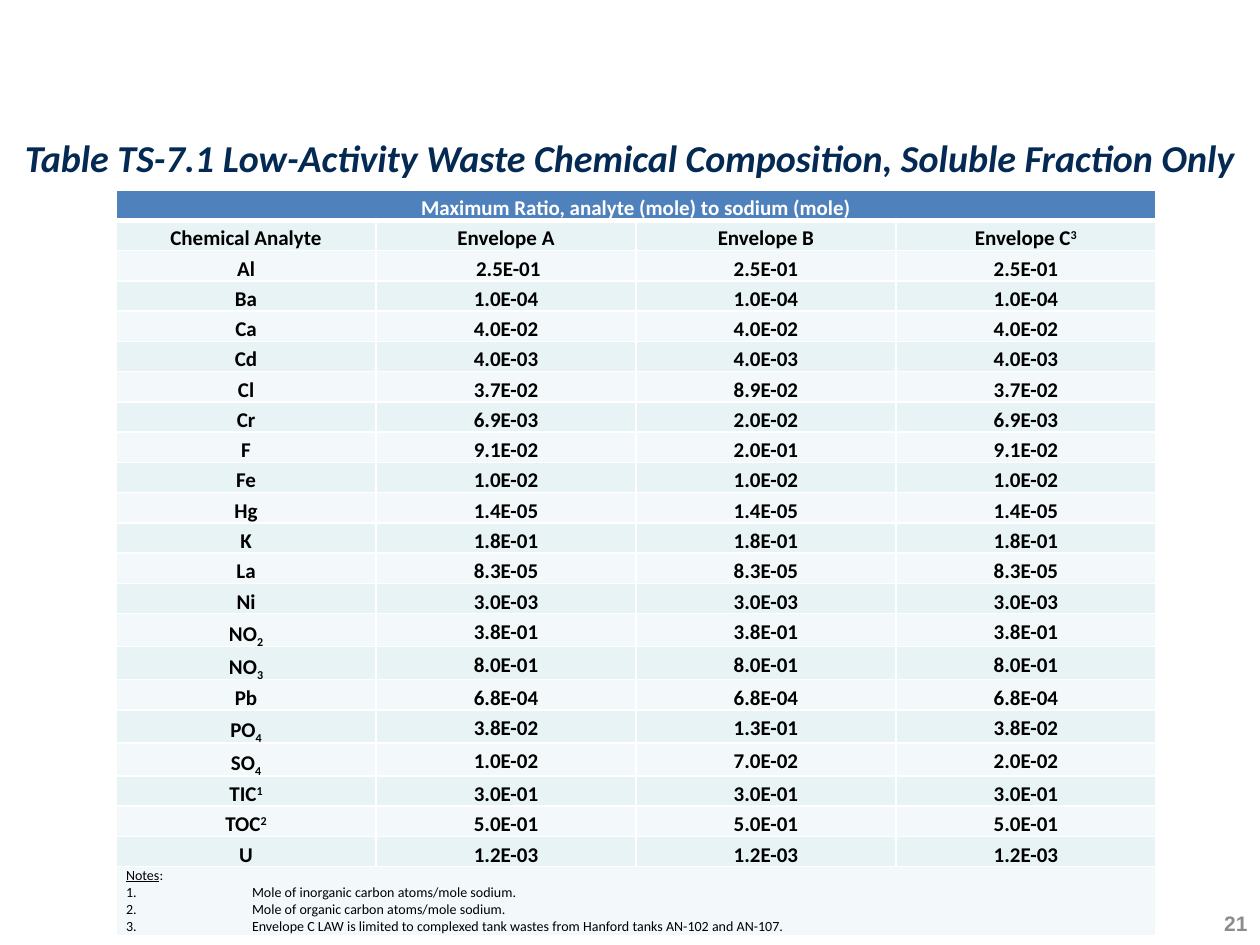
from dataclasses import dataclass
from typing import Optional

from lxml.etree import SubElement
from pptx import Presentation
from pptx.dml.color import RGBColor
from pptx.enum.text import MSO_ANCHOR, MSO_AUTO_SIZE, PP_ALIGN
from pptx.oxml import parse_xml
from pptx.oxml.ns import nsdecls, qn
from pptx.util import Cm, Pt


@dataclass(frozen=True)
class Theme:
    """Colours, fonts and type sizes."""
    navy: str = "042A54"
    blue: str = "4F81BD"
    dark_band: str = "E7F3F4"
    light_band: str = "F3F9FA"
    white: str = "FFFFFF"
    black: str = "000000"
    grey: str = "8C8C8C"
    text_font: str = "Calibri"
    number_font: str = "Arial"
    title_size: float = 21.7
    cell_size: float = 12
    note_size: float = 8


@dataclass(frozen=True)
class Style:
    """Character format of a run."""
    size: float
    color: str
    bold: bool = False
    italic: bool = False
    font: str = "Calibri"


@dataclass(frozen=True)
class Label:
    """Cell text with an optional raised or lowered mark."""
    text: str
    mark: str = ""
    baseline: int = 0


@dataclass(frozen=True)
class Analyte:
    """Limits of one analyte in the three envelopes."""
    name: Label
    envelope_a: str
    envelope_b: str
    envelope_c: str

    def labels(self) -> list[Label]:
        """Return the four cells of the row."""
        limits = self.envelope_a, self.envelope_b, self.envelope_c
        return [self.name, *(Label(limit) for limit in limits)]


THEME = Theme()
TITLE = Style(THEME.title_size, THEME.navy, bold=True, italic=True)
HEADER = Style(THEME.cell_size, THEME.white, bold=True)
BODY = Style(THEME.cell_size, THEME.black, bold=True)
NOTE = Style(THEME.note_size, THEME.black)
PAGE = Style(THEME.cell_size, THEME.grey, bold=True, font=THEME.number_font)

SUPER, SUB = 30, -25
COLUMN_WIDTH, ROW_HEIGHT, SUB_ROW_HEIGHT, NOTES_HEIGHT = Cm(5.24), Cm(0.61), Cm(0.65), Cm(1.4)

HEADINGS = [Label("Chemical Analyte"), Label("Envelope A"), Label("Envelope B"),
            Label("Envelope C", "3", SUPER)]
ANALYTES = [
    Analyte(Label("Al"), " 2.5E-01", "2.5E-01", "2.5E-01"),
    Analyte(Label("Ba"), "1.0E-04", "1.0E-04", "1.0E-04"),
    Analyte(Label("Ca"), "4.0E-02", "4.0E-02", "4.0E-02"),
    Analyte(Label("Cd"), "4.0E-03", "4.0E-03", "4.0E-03"),
    Analyte(Label("Cl"), "3.7E-02", "8.9E-02", "3.7E-02"),
    Analyte(Label("Cr"), "6.9E-03", "2.0E-02", "6.9E-03"),
    Analyte(Label("F"), "9.1E-02", "2.0E-01", "9.1E-02"),
    Analyte(Label("Fe"), "1.0E-02", "1.0E-02", "1.0E-02"),
    Analyte(Label("Hg"), "1.4E-05", "1.4E-05", "1.4E-05"),
    Analyte(Label("K"), "1.8E-01", "1.8E-01", "1.8E-01"),
    Analyte(Label("La"), "8.3E-05", "8.3E-05", "8.3E-05"),
    Analyte(Label("Ni"), "3.0E-03", "3.0E-03", "3.0E-03"),
    Analyte(Label("NO", "2", SUB), "3.8E-01", "3.8E-01", "3.8E-01"),
    Analyte(Label("NO", "3", SUB), "8.0E-01", "8.0E-01", "8.0E-01"),
    Analyte(Label("Pb"), "6.8E-04", "6.8E-04", "6.8E-04"),
    Analyte(Label("PO", "4", SUB), "3.8E-02", "1.3E-01", "3.8E-02"),
    Analyte(Label("SO", "4", SUB), "1.0E-02", "7.0E-02", "2.0E-02"),
    Analyte(Label("TIC", "1", SUPER), "3.0E-01", "3.0E-01", "3.0E-01"),
    Analyte(Label("TOC", "2", SUPER), "5.0E-01", "5.0E-01", "5.0E-01"),
    Analyte(Label("U"), "1.2E-03", "1.2E-03", "1.2E-03"),
]
NOTES = [
    "Mole of inorganic carbon atoms/mole sodium.",
    "Mole of organic carbon atoms/mole sodium.",
    "Envelope C LAW is limited to complexed tank wastes from Hanford tanks AN-102 and AN-107.",
]


def add_run(paragraph, text: str, style: Style, baseline: int = 0, underline: Optional[bool] = None) -> None:
    """Append a formatted run."""
    run = paragraph.add_run()
    run.text = text
    font = run.font
    font.name, font.size = style.font, Pt(style.size)
    font.bold, font.italic, font.underline = style.bold, style.italic, underline
    font.color.rgb = RGBColor.from_string(style.color)
    if baseline:
        run._r.get_or_add_rPr().set("baseline", str(baseline * 1000))


def format_cell(cell, fill: str, top_margin: Cm, top_line: int = 1, bottom_line: int = 1) -> None:
    """Set fill, margins and white borders."""
    cell.fill.solid()
    cell.fill.fore_color.rgb = RGBColor.from_string(fill)
    cell.margin_left = cell.margin_right = Cm(0.2)
    cell.margin_top, cell.margin_bottom = top_margin, Cm(0)
    properties = cell._tc.get_or_add_tcPr()
    widths = {"lnL": 1, "lnR": 1, "lnT": top_line, "lnB": bottom_line}
    for position, (side, width) in enumerate(widths.items()):
        properties.insert(position, parse_xml(
            f'<a:{side} {nsdecls("a")} w="{Pt(width)}"><a:solidFill>'
            f'<a:srgbClr val="{THEME.white}"/></a:solidFill></a:{side}>'))


def write_label(cell, label: Label, style: Style) -> None:
    """Write a centred label with its mark."""
    paragraph = cell.text_frame.paragraphs[0]
    paragraph.alignment = PP_ALIGN.CENTER
    paragraph.line_spacing = 0.89
    paragraph.space_after = Pt(4.2)
    add_run(paragraph, label.text, style)
    if label.mark:
        add_run(paragraph, label.mark, style, label.baseline)


def write_notes(cell) -> None:
    """Write the numbered notes under their heading."""
    heading = cell.text_frame.paragraphs[0]
    add_run(heading, "Notes", NOTE, underline=True)
    add_run(heading, ":", NOTE)
    for number, note in enumerate(NOTES, 1):
        paragraph = cell.text_frame.add_paragraph()
        stops = SubElement(paragraph._p.get_or_add_pPr(), qn("a:tabLst"))
        SubElement(stops, qn("a:tab"), pos=str(Cm(2.54)), algn="l")
        add_run(paragraph, f"{number}.\t{note}", NOTE)


def add_ratio_table(slide) -> None:
    """Add the table of maximum ratios."""
    rows = [HEADINGS, *(analyte.labels() for analyte in ANALYTES)]
    last = len(rows) + 1
    table = slide.shapes.add_table(last + 1, len(HEADINGS), Cm(2.34), Cm(3.83),
                                   COLUMN_WIDTH * len(HEADINGS), ROW_HEIGHT * (last + 1)).table
    for column in table.columns:
        column.width = COLUMN_WIDTH
    for position in (0, last):
        table.cell(position, 0).merge(table.cell(position, len(HEADINGS) - 1))

    table.rows[0].height = ROW_HEIGHT
    for cell in table.rows[0].cells:
        format_cell(cell, THEME.blue, Cm(0.15), bottom_line=3)
    write_label(table.cell(0, 0), Label("Maximum Ratio, analyte (mole) to sodium (mole)"), HEADER)

    for position, labels in enumerate(rows, 1):
        lowered = any(label.baseline < 0 for label in labels)
        table.rows[position].height = SUB_ROW_HEIGHT if lowered else ROW_HEIGHT
        band = THEME.dark_band if position % 2 else THEME.light_band
        for cell, label in zip(table.rows[position].cells, labels):
            format_cell(cell, band, Cm(0.15), top_line=3 if position == 1 else 1)
            write_label(cell, label, BODY)

    table.rows[last].height = NOTES_HEIGHT
    for cell in table.rows[last].cells:
        format_cell(cell, THEME.light_band, Cm(0))
    write_notes(table.cell(last, 0))


def add_title(slide) -> None:
    """Place and fill the title."""
    title = slide.shapes.title
    title.left, title.top, title.width, title.height = Cm(0), Cm(2.59), Cm(25.4), Cm(1.65)
    frame = title.text_frame
    frame.word_wrap, frame.auto_size = True, MSO_AUTO_SIZE.NONE
    frame.vertical_anchor = MSO_ANCHOR.TOP
    paragraph = frame.paragraphs[0]
    paragraph.alignment = PP_ALIGN.CENTER
    add_run(paragraph, "Table TS-7.1 Low-Activity Waste Chemical Composition, Soluble Fraction Only", TITLE)


def add_page_number(slide) -> None:
    """Add the page number at the lower right."""
    frame = slide.shapes.add_textbox(Cm(18.21), Cm(18.36), Cm(7.19), Cm(0.51)).text_frame
    frame.word_wrap, frame.vertical_anchor = True, MSO_ANCHOR.MIDDLE
    frame.paragraphs[0].alignment = PP_ALIGN.RIGHT
    add_run(frame.paragraphs[0], "21", PAGE)


def main() -> None:
    """Build and save the slide."""
    deck = Presentation()
    deck.slide_width, deck.slide_height = Cm(25.4), Cm(19.05)
    slide = deck.slides.add_slide(deck.slide_layouts[5])
    add_page_number(slide)
    add_title(slide)
    add_ratio_table(slide)
    deck.save("out.pptx")


if __name__ == "__main__":
    main()
